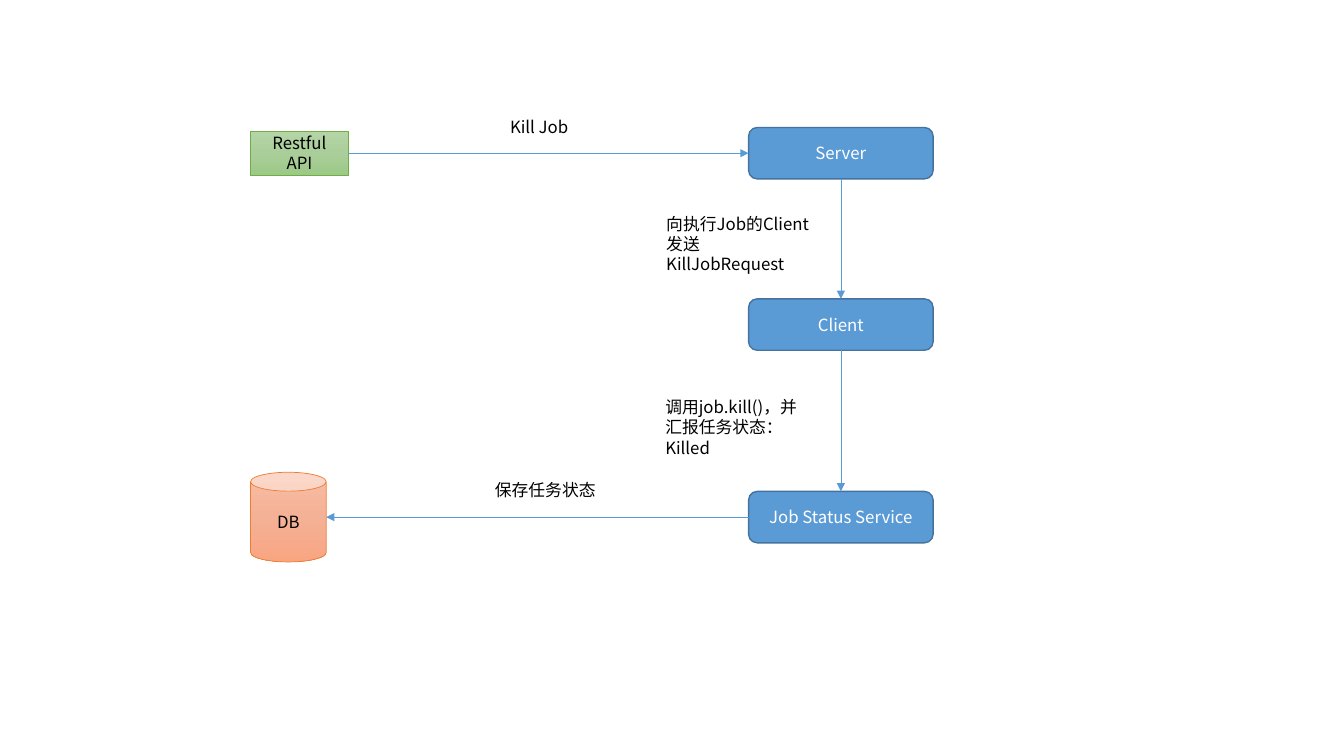
from copy import deepcopy

from lxml import etree
from pptx import Presentation
from pptx.dml.color import RGBColor
from pptx.enum.shapes import MSO_CONNECTOR, MSO_SHAPE
from pptx.enum.text import MSO_ANCHOR, MSO_AUTO_SIZE, PP_ALIGN
from pptx.oxml.ns import qn
from pptx.util import Inches, Pt

FONT = "Noto Sans CJK SC"
BLUE, BLUE_EDGE = "5B9BD5", "43739E"
GREEN_EDGE, ORANGE_EDGE = "70AD47", "ED7D31"
GREENS = ("B5D5A7", "AACE9A", "9CC987")
ORANGES = ("F7BDA5", "F5B196", "F8A582")
WHITE, BLACK = "FFFFFF", "000000"

TOP, RIGHT, BOTTOM, LEFT = 0, 3, 2, 1  # connection sites of a rectangle
SERVICE_X = 8.34
REQUEST_Y, CLIENT_Y, STATUS_Y = 1.52, 3.22, 5.13


def rgb(value):
    """Turn a hex string into a colour."""
    return RGBColor.from_string(value)


def write(frame, lines, color, align):
    """Write each line as one paragraph of 12 point text."""
    for index, line in enumerate(lines):
        paragraph = frame.paragraphs[0] if index == 0 else frame.add_paragraph()
        paragraph.alignment = align
        run = paragraph.add_run()
        run.text = line
        run.font.size = Pt(12)
        run.font.name = FONT
        run.font.color.rgb = rgb(color)
        east_asian = etree.SubElement(run.font._element, qn("a:ea"))
        east_asian.set("typeface", FONT)


def fill_gradient(shape, colors):
    """Fill a shape from top to bottom with three evenly spaced colours."""
    shape.fill.gradient()
    shape.fill.gradient_angle = 270
    stop_list = shape._element.spPr.find(".//" + qn("a:gsLst"))
    stop_list.insert(1, deepcopy(stop_list[0]))
    for index, (stop, color) in enumerate(zip(shape.fill.gradient_stops, colors)):
        stop.position = index / 2
        stop.color.rgb = rgb(color)


def add_node(slide, kind, center, size, lines, fills, edge, edge_width, color):
    """Add a labelled shape around its centre point."""
    (x, y), (width, height) = center, size
    node = slide.shapes.add_shape(
        kind, Inches(x - width / 2), Inches(y - height / 2),
        Inches(width), Inches(height))
    node.shadow.inherit = False
    if len(fills) > 1:
        fill_gradient(node, fills)
    else:
        node.fill.solid()
        node.fill.fore_color.rgb = rgb(fills[0])
    node.line.color.rgb = rgb(edge)
    node.line.width = Pt(edge_width)
    node.text_frame.word_wrap = True
    node.text_frame.vertical_anchor = MSO_ANCHOR.MIDDLE
    write(node.text_frame, lines, color, PP_ALIGN.CENTER)
    return node


def add_service(slide, y, name):
    """Add one blue service box in the right column."""
    return add_node(slide, MSO_SHAPE.ROUNDED_RECTANGLE, (SERVICE_X, y),
                    (1.83, 0.51), [name], [BLUE], BLUE_EDGE, 1, WHITE)


def add_arrow(slide, source, source_site, end=None, target=None, target_site=None):
    """Draw an arrow from a node to another node's site or to an end point."""
    arrow = slide.shapes.add_connector(
        MSO_CONNECTOR.STRAIGHT, 0, 0, *(end or (0, 0)))
    arrow.begin_connect(source, source_site)
    if target is not None:
        arrow.end_connect(target, target_site)
    arrow.line.color.rgb = rgb(BLUE)
    arrow.line.width = Pt(0.5)
    etree.SubElement(arrow.line._get_or_add_ln(), qn("a:tailEnd"), type="triangle")
    etree.SubElement(arrow._element.spPr, qn("a:effectLst"))


def add_label(slide, left, top, width, height, lines, wrap=False):
    """Add the caption of an arrow."""
    label = slide.shapes.add_textbox(
        Inches(left), Inches(top), Inches(width), Inches(height))
    label.text_frame.word_wrap = wrap
    label.text_frame.auto_size = MSO_AUTO_SIZE.SHAPE_TO_FIT_TEXT
    write(label.text_frame, lines, BLACK, PP_ALIGN.LEFT)


def main():
    """Build the kill-job flow slide."""
    deck = Presentation()
    deck.slide_width, deck.slide_height = Inches(13.33), Inches(7.5)
    slide = deck.slides.add_slide(deck.slide_layouts[6])

    client = add_service(slide, CLIENT_Y, "Client")
    server = add_service(slide, REQUEST_Y, "Server")
    database = add_node(slide, MSO_SHAPE.CAN, (2.86, STATUS_Y), (0.75, 0.89),
                        ["DB"], ORANGES, ORANGE_EDGE, 0.5, BLACK)
    api = add_node(slide, MSO_SHAPE.RECTANGLE, (2.97, REQUEST_Y), (0.97, 0.44),
                   ["Restful", "API"], GREENS, GREEN_EDGE, 0.5, BLACK)
    status = add_service(slide, STATUS_Y, "Job Status Service")

    add_arrow(slide, api, RIGHT, target=server, target_site=LEFT)
    add_arrow(slide, server, BOTTOM, target=client, target_site=TOP)
    add_arrow(slide, client, BOTTOM, target=status, target_site=TOP)
    add_arrow(slide, status, LEFT,
              end=(database.left + database.width, Inches(STATUS_Y)))

    add_label(slide, 4.96, 1.11, 0.78, 0.3, ["Kill Job"])
    add_label(slide, 6.51, 2.07, 1.7, 0.9,
              ["向执行Job的Client", "发送KillJobRequest"], wrap=True)
    add_label(slide, 6.5, 3.89, 1.7, 0.7,
              ["调用job.kill()，并", "汇报任务状态：Killed"], wrap=True)
    add_label(slide, 4.81, 4.71, 1.21, 0.3, ["保存任务状态"])

    deck.save("out.pptx")


main()
